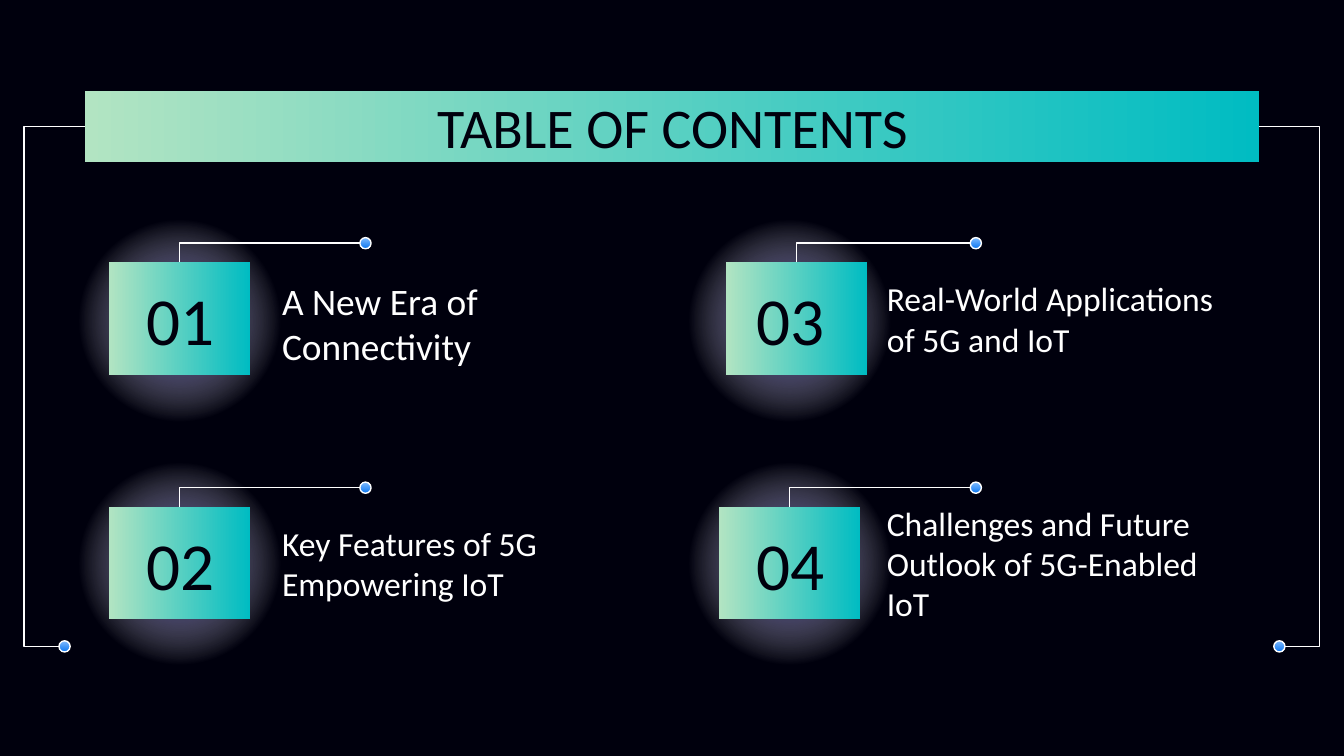
import dataclasses

import lxml.etree
import pptx
import pptx.dml.color
import pptx.enum.shapes
import pptx.enum.text
import pptx.oxml.ns
import pptx.util

Pt = pptx.util.Pt
qn = pptx.oxml.ns.qn
Kind = pptx.enum.shapes.MSO_SHAPE
Link = pptx.enum.shapes.MSO_CONNECTOR
Align = pptx.enum.text.PP_ALIGN
Anchor = pptx.enum.text.MSO_ANCHOR

DARK, WHITE = "00000D", "FFFFFF"
ROW, COL = 131, 327
MINT = [(0, "00BCC2", 100), (100, "B2E4C2", 100)]
BLUE = [(0, "82BCFE", 100), (100, "0C77F1", 100)]
GLOW = [(0, "170F8D", 100), (61, WHITE, 0), (100, WHITE, 0)]


@dataclasses.dataclass
class Box:
    left: float
    top: float
    width: float
    height: float

    def points(self) -> list:
        return [Pt(n) for n in (self.left, self.top, self.width, self.height)]


@dataclasses.dataclass
class Topic:
    num: str
    text: str
    col: int
    row: int
    size: float = 18
    nudge: float = 0
    drop: float = 0


TOPICS = [
    Topic("01", "A New Era of Connectivity", 0, 0, size=20, drop=2.2),
    Topic("02", "Key Features of 5G Empowering IoT", 0, 1),
    Topic("03", "Real-World Applications of 5G and IoT", 1, 0, nudge=3.5),
    Topic("04", "Challenges and Future Outlook of 5G-Enabled IoT", 1, 1),
]


def color(code: str):
    return pptx.dml.color.RGBColor.from_string(code)


def apply(item, values: dict) -> None:
    for name, value in values.items():
        setattr(item, name, value)


def blend(shape, stops: list, angle=None) -> None:
    shape.fill.gradient()
    grad = shape.fill._xPr.find(qn("a:gradFill"))
    for child in list(grad):
        grad.remove(child)
    table = lxml.etree.SubElement(grad, qn("a:gsLst"))
    for place, code, alpha in stops:
        stop = lxml.etree.SubElement(table, qn("a:gs"), pos=str(place * 1000))
        tint = lxml.etree.SubElement(stop, qn("a:srgbClr"), val=code)
        if alpha < 100:
            lxml.etree.SubElement(tint, qn("a:alpha"), val=str(alpha * 1000))
    if angle is None:
        ring = lxml.etree.SubElement(grad, qn("a:path"))
        ring.set("path", "circle")
        sides = dict.fromkeys("ltrb", "50000")
        lxml.etree.SubElement(ring, qn("a:fillToRect"), sides)
    else:
        turn = str(angle * 60000)
        lxml.etree.SubElement(grad, qn("a:lin"), ang=turn, scaled="0")


def draw(slide, kind, box: Box, stops: list, angle=None):
    shape = slide.shapes.add_shape(kind, *box.points())
    shape.shadow.inherit = False
    shape.line.fill.background()
    blend(shape, stops, angle)
    return shape


def stroke(line) -> None:
    line.fill.solid()
    line.fill.fore_color.rgb = color(WHITE)
    line.width = Pt(0.75)


def dot(slide, x: float, y: float) -> None:
    shape = draw(slide, Kind.OVAL, Box(x - 3, y - 3, 6, 6), BLUE, 90)
    stroke(shape.line)


def wire(slide, start: tuple, end: tuple, bend=None) -> None:
    ends = [Pt(n) for n in start + end]
    link = slide.shapes.add_connector(Link.ELBOW, *ends)
    stroke(link.line)
    props = link._element.spPr
    lxml.etree.SubElement(props, qn("a:effectLst"))
    geom = props.find(qn("a:prstGeom"))
    if bend is None:
        geom.set("prst", "bentConnector2")
    else:
        guides = geom.find(qn("a:avLst"))
        if guides is None:
            guides = lxml.etree.SubElement(geom, qn("a:avLst"))
        rule = f"val {bend}"
        lxml.etree.SubElement(guides, qn("a:gd"), name="adj1", fmla=rule)


def write(slide, box: Box, text: str, size: float, code: str,
          align=Align.LEFT, anchor=Anchor.MIDDLE) -> None:
    frame = slide.shapes.add_textbox(*box.points()).text_frame
    sides = ("left", "top", "right", "bottom")
    inset = {f"margin_{side}": Pt(7.2) for side in sides}
    apply(frame, {"word_wrap": True, "vertical_anchor": anchor, **inset})
    para = frame.paragraphs[0]
    para.alignment = align
    run = para.add_run()
    run.text = text
    apply(run.font, {"name": "Calibri", "size": Pt(size)})
    run.font.color.rgb = color(code)


def topic(slide, item: Topic) -> None:
    x, y = item.col * COL, item.row * ROW
    glow = Box(32.4 + x, 110.2 + item.row * 130.3, 127.4, 123.1)
    draw(slide, Kind.OVAL, glow, GLOW)
    tile = Box(58.3 + x + item.nudge, 140.4 + y, 75.6, 60.5)
    draw(slide, Kind.RECTANGLE, tile, MINT, 180)
    label = Box(144 + item.col * 324, 149.8 + y + item.drop, 193.7, 41.8)
    write(slide, label, item.text, item.size, WHITE)
    mark = Box(64.8 + x, 149.8 + y, 63.4, 41.8)
    write(slide, mark, item.num, 36, DARK, Align.CENTER)
    level = 130.3 + y
    mid = tile.left + tile.width / 2
    wire(slide, (193 + x, level), (mid, tile.top))
    dot(slide, 195.8 + x, level)


def main() -> None:
    deck = pptx.Presentation()
    apply(deck, {"slide_width": Pt(720), "slide_height": Pt(405)})
    slide = deck.slides.add_slide(deck.slide_layouts[6])
    back = slide.background.fill
    back.solid()
    back.fore_color.rgb = color(DARK)

    for item in TOPICS:
        topic(slide, item)

    bar = Box(45.4, 48.8, 629.2, 38)
    draw(slide, Kind.RECTANGLE, bar, MINT, 180)
    for edge, way in ((0, 1), (720, -1)):
        wire(slide, (edge + way * 31.7, 346.3),
             (edge + way * 45.4, 67.7), -137000)
        dot(slide, edge + way * 34.6, 346.3)
    write(slide, Box(56.9, 42.5, 607, 45.4), "TABLE OF CONTENTS", 30, DARK,
          Align.CENTER, Anchor.TOP)
    deck.save("out.pptx")


if __name__ == "__main__":
    main()
